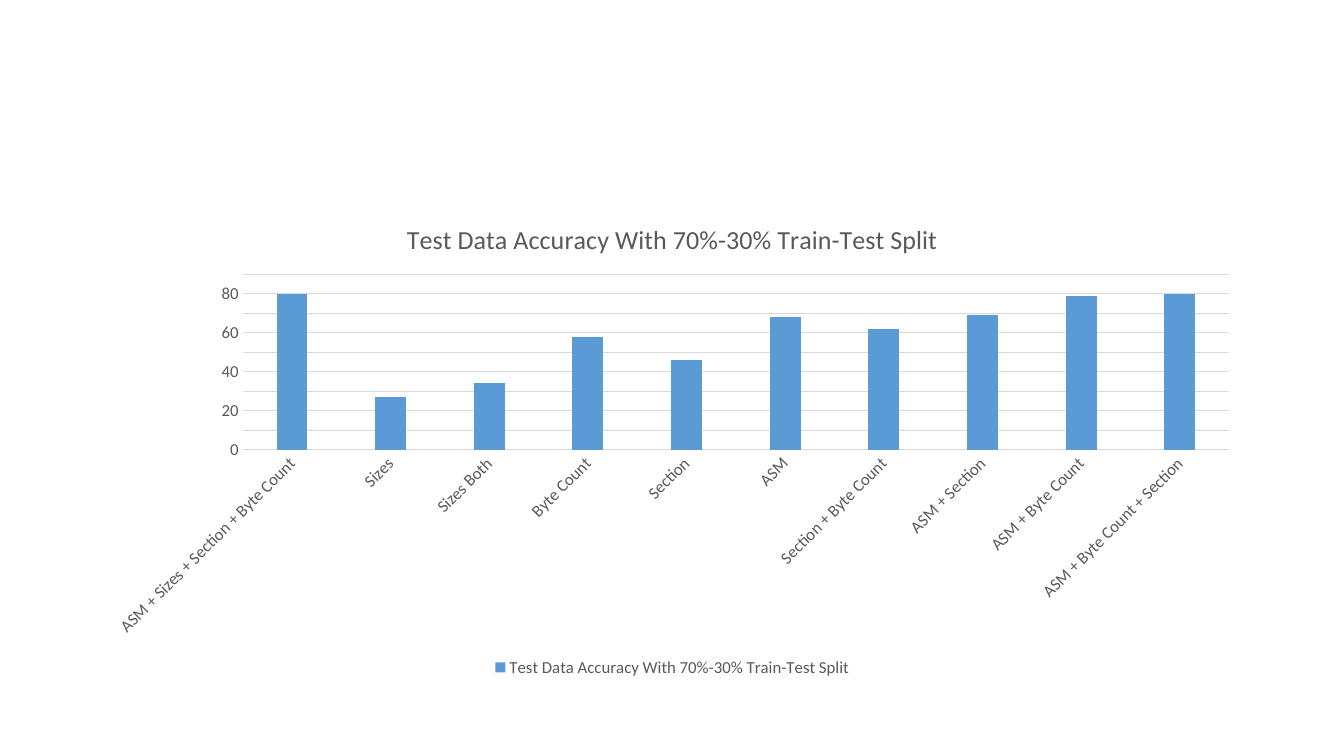
from pptx import Presentation
from pptx import util as u
from pptx.chart.data import CategoryChartData
from pptx.dml.color import RGBColor
from pptx.enum import chart as kinds

TITLE = "Test Data Accuracy With 70%-30% Train-Test Split"
ACCURACY = {
    "ASM + Sizes + Section + Byte Count": 80,
    "Sizes": 27,
    "Sizes Both": 34,
    "Byte Count": 58,
    "Section": 46,
    "ASM": 68,
    "Section + Byte Count": 62,
    "ASM + Section": 69,
    "ASM + Byte Count": 79,
    "ASM + Byte Count + Section": 80,
}
FONT = "Calibri"
TEXT = "595959"
GRID = "D9D9D9"
BAR = "5B9BD5"


def colour(value):
    return RGBColor.from_string(value)


def style_font(font, size):
    font.name = FONT
    font.size = u.Pt(size)
    font.bold = False
    font.color.rgb = colour(TEXT)


def style_line(line):
    line.color.rgb = colour(GRID)
    line.width = u.Pt(0.75)


def style_axis(axis):
    axis.major_tick_mark = kinds.XL_TICK_MARK.NONE
    axis.minor_tick_mark = kinds.XL_TICK_MARK.NONE
    style_font(axis.tick_labels.font, 12)


def style_category_axis(axis):
    style_axis(axis)
    axis.has_major_gridlines = False
    style_line(axis.format.line)
    body = axis._element.txPr.bodyPr
    body.set("rot", "-2700000")
    body.set("vert", "horz")


def style_value_axis(axis):
    style_axis(axis)
    axis.minimum_scale = 0
    axis.maximum_scale = 90
    axis.major_unit = 10
    axis.has_major_gridlines = True
    style_line(axis.major_gridlines.format.line)
    axis.format.line.fill.background()


def add_title(chart):
    chart.has_title = True
    span = chart.chart_title.text_frame.paragraphs[0].add_run()
    span.text = TITLE
    style_font(span.font, 18.6)
    chart.chart_title.include_in_layout = False


def add_legend(chart):
    chart.has_legend = True
    chart.legend.position = kinds.XL_LEGEND_POSITION.BOTTOM
    chart.legend.include_in_layout = False
    style_font(chart.legend.font, 12)


def style_bars(plot):
    plot.gap_width = 219
    plot.overlap = -27
    plot.vary_by_categories = False
    fill = plot.series[0].format.fill
    fill.solid()
    fill.fore_color.rgb = colour(BAR)


def add_accuracy_chart(page):
    data = CategoryChartData()
    data.categories = list(ACCURACY)
    data.add_series(TITLE, list(ACCURACY.values()))
    chart = page.shapes.add_chart(
        kinds.XL_CHART_TYPE.COLUMN_CLUSTERED,
        u.Inches(0.92), u.Inches(2), u.Inches(11.5), u.Inches(4.76), data,
    ).chart
    style_font(chart.font, 12)
    add_title(chart)
    add_legend(chart)
    style_category_axis(chart.category_axis)
    style_value_axis(chart.value_axis)
    style_bars(chart.plots[0])


def main():
    deck = Presentation()
    deck.slide_width = u.Inches(13.33)
    deck.slide_height = u.Inches(7.5)
    page = deck.slides.add_slide(deck.slide_layouts[6])
    add_accuracy_chart(page)
    deck.save("out.pptx")


if __name__ == "__main__":
    main()
